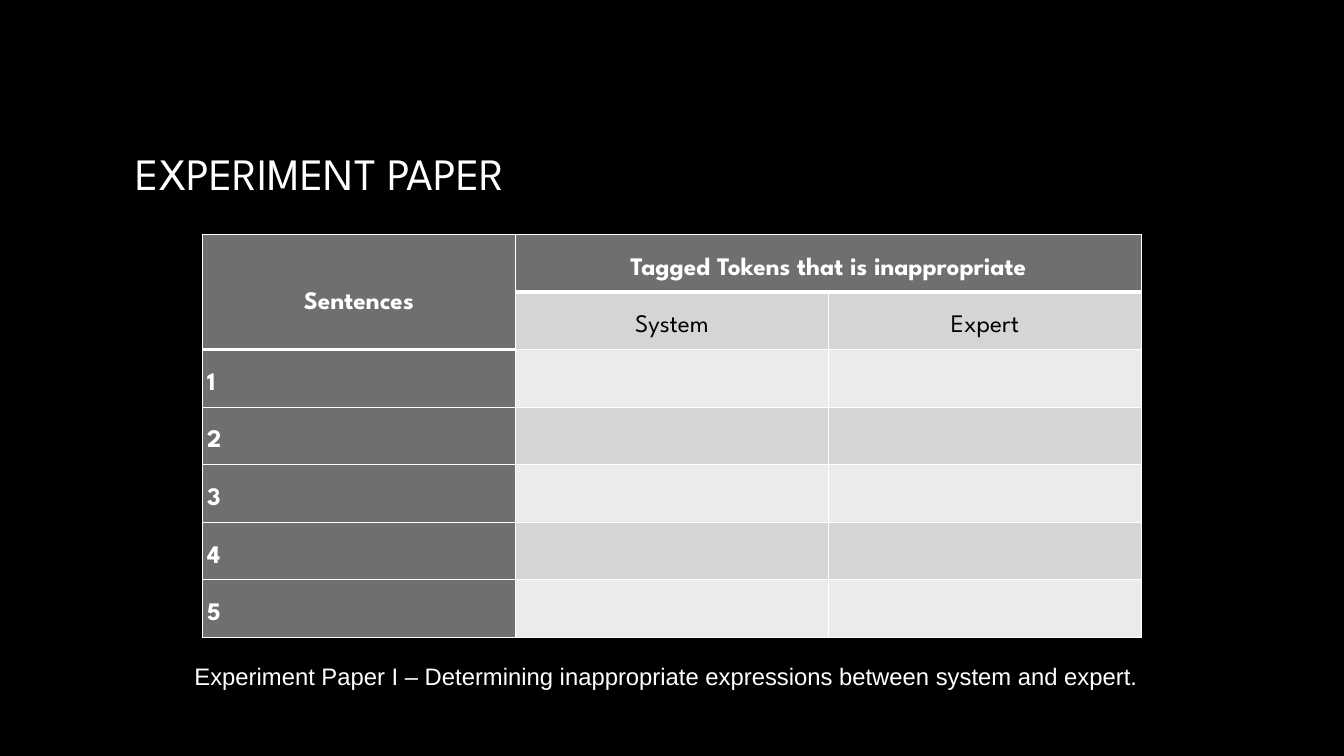
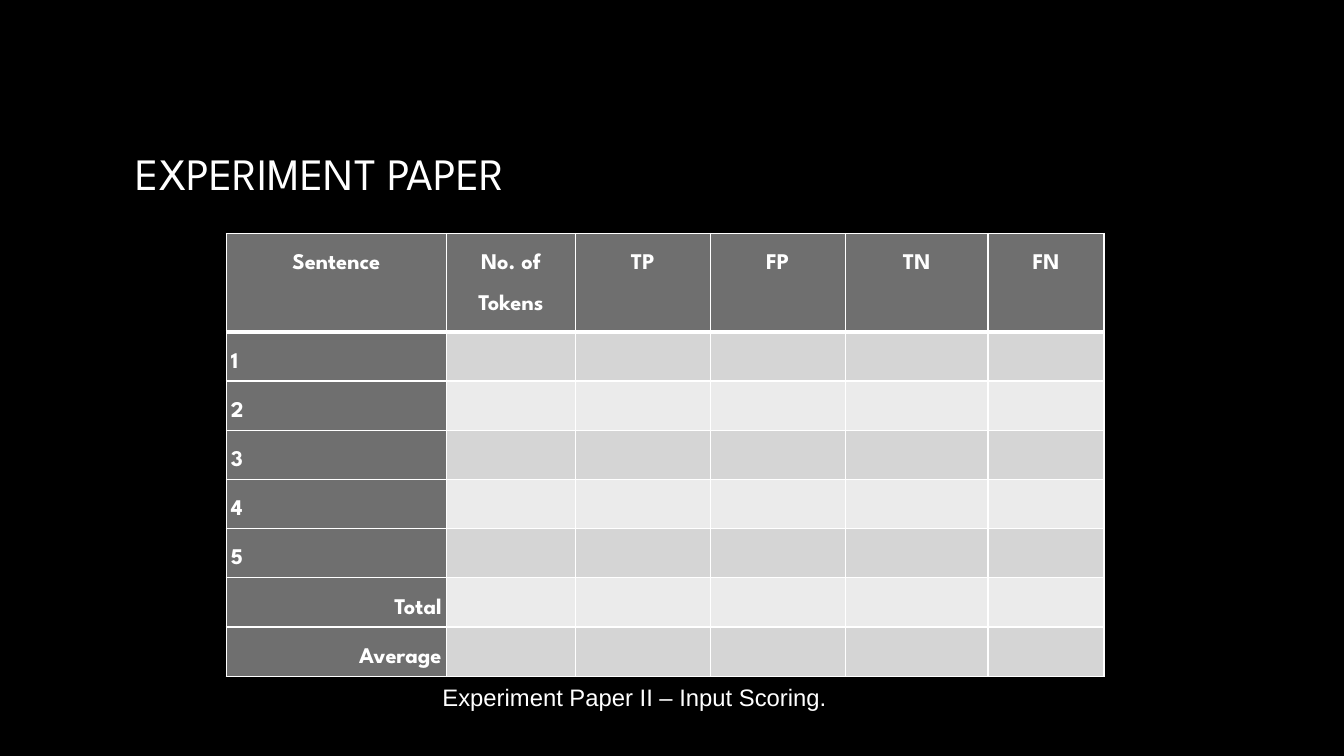
import lxml.etree
import pptx
import pptx.dml.color
import pptx.enum.text
import pptx.oxml.ns
import pptx.util

Cm = pptx.util.Cm
Pt = pptx.util.Pt
RGBColor = pptx.dml.color.RGBColor
ALIGN = pptx.enum.text.PP_ALIGN
ANCHOR = pptx.enum.text.MSO_ANCHOR
qn = pptx.oxml.ns.qn

BLACK = RGBColor(0x00, 0x00, 0x00)
WHITE = RGBColor(0xFF, 0xFF, 0xFF)
SILVER = RGBColor(0xA6, 0xA6, 0xA6)
HEADER_GREY = RGBColor(0x6F, 0x6F, 0x6F)
BAND_DARK = RGBColor(0xD5, 0xD5, 0xD5)
BAND_LIGHT = RGBColor(0xEB, 0xEB, 0xEB)

HEADING_FONT = "League Spartan"
CAPTION_FONT = "Arial"
TITLE_BOX = (3.17, 1.7, 27.51, 5.28)
THIN, THICK = 1, 3
LINE_PITCH = 1.84  # double spacing of the heading font, per point of size


def set_font(para, name, size, color=WHITE, bold=False):
    para.font.name = name
    para.font.size = Pt(size)
    para.font.bold = bold
    para.font.color.rgb = color


def add_text(page, box, text):
    """Place a one-paragraph text box and return its frame and paragraph."""
    frame = page.shapes.add_textbox(*map(Cm, box)).text_frame
    para = frame.paragraphs[0]
    para.text = text
    return frame, para


def add_title(page, box, text):
    frame, para = add_text(page, box, text)
    frame.word_wrap = True
    frame.vertical_anchor = ANCHOR.MIDDLE
    set_font(para, HEADING_FONT, 32)
    # White fading to silver down the letters
    fill = para.font.fill
    fill.gradient()
    fill.gradient_angle = 267
    for stop, color in zip(fill.gradient_stops, (WHITE, SILVER)):
        stop.color.rgb = color


def add_caption(page, box, text):
    frame, para = add_text(page, box, text)
    frame.word_wrap = False
    frame.auto_size = pptx.enum.text.MSO_AUTO_SIZE.SHAPE_TO_FIT_TEXT
    set_font(para, CAPTION_FONT, 17)


def set_borders(cell, top, bottom):
    """Draw white cell edges; top and bottom are widths in points."""
    properties = cell._tc.get_or_add_tcPr()
    for edge, width in (("L", THIN), ("R", THIN), ("T", top), ("B", bottom)):
        line = lxml.etree.SubElement(properties, qn(f"a:ln{edge}"), w=str(Pt(width)))
        fill = lxml.etree.SubElement(line, qn("a:solidFill"))
        lxml.etree.SubElement(fill, qn("a:srgbClr"), val=str(WHITE))


def style_cell(cell, row, column, header_depth, text, size):
    in_header = row < header_depth
    is_dark = in_header or column == 0
    set_borders(cell,
                top=THICK if row == header_depth else THIN,
                bottom=THICK if in_header else THIN)
    cell.fill.solid()
    band = BAND_DARK if row % 2 else BAND_LIGHT
    cell.fill.fore_color.rgb = HEADER_GREY if is_dark else band
    cell.margin_left = cell.margin_right = Cm(0.12)
    cell.margin_top = cell.margin_bottom = 0
    if not text:
        return
    para = cell.text_frame.paragraphs[0]
    para.text = text
    para.line_spacing = Pt(LINE_PITCH * size)
    set_font(para, HEADING_FONT, size, WHITE if is_dark else BLACK, is_dark)
    if in_header or column > 0:
        para.alignment = ALIGN.CENTER
    else:
        para.alignment = ALIGN.LEFT if text.isdigit() else ALIGN.RIGHT


def add_grid(page, corner, widths, heights, texts, header_depths, size, merges=()):
    """Place a table; header_depths counts the header rows of each column."""
    left, top = corner
    table = page.shapes.add_table(
        len(heights), len(widths),
        Cm(left), Cm(top), Cm(sum(widths)), Cm(sum(heights))).table
    table.first_row = table.horz_banding = False
    for column, width in zip(table.columns, widths):
        column.width = Cm(width)
    for row, height in zip(table.rows, heights):
        row.height = Cm(height)
    for row in range(len(heights)):
        for column, depth in enumerate(header_depths):
            text = texts[row][column] if column < len(texts[row]) else ""
            style_cell(table.cell(row, column), row, column, depth, text, size)
    for first, last in merges:
        table.cell(*first).merge(table.cell(*last))
        table.cell(*first).vertical_anchor = (
            ANCHOR.MIDDLE if last[0] > first[0] else ANCHOR.TOP)


def add_experiment_page(deck, grid, caption_box, caption):
    page = deck.slides.add_slide(deck.slide_layouts[6])
    add_title(page, TITLE_BOX, "EXPERIMENT PAPER")
    add_grid(page, **grid)
    add_caption(page, caption_box, caption)


def main():
    deck = pptx.Presentation()
    deck.slide_width, deck.slide_height = Cm(33.87), Cm(19.05)
    background = deck.slide_master.background.fill
    background.solid()
    background.fore_color.rgb = BLACK

    sentence_rows = [[str(number)] for number in range(1, 6)]

    # Paper I: system against expert
    tagging_grid = dict(
        corner=(5.1, 5.91),
        widths=[7.89] * 3,
        heights=[1.45] * 7,
        texts=[["Sentences", "Tagged Tokens that is inappropriate"],
               ["", "System", "Expert"], *sentence_rows],
        header_depths=[2, 1, 1],
        size=18,
        merges=[((0, 0), (1, 0)), ((0, 1), (0, 2))],
    )
    add_experiment_page(
        deck, tagging_grid, (4.65, 16.54, 24.54, 1.7),
        "Experiment Paper I – Determining inappropriate expressions "
        "between system and expert.")

    # Paper II: scoring sheet
    scoring_grid = dict(
        corner=(5.7, 5.88),
        widths=[5.55, 3.25, 3.4, 3.4, 3.6, 2.92],
        heights=[2.48] + [1.24] * 7,
        texts=[["Sentence", "No. of Tokens", "TP", "FP", "TN", "FN"],
               *sentence_rows, ["Total"], ["Average"]],
        header_depths=[1] * 6,
        size=16,
    )
    add_experiment_page(
        deck, scoring_grid, (10.9, 17.07, 10.31, 1.7),
        "Experiment Paper II – Input Scoring.")

    deck.save("out.pptx")


if __name__ == "__main__":
    main()
